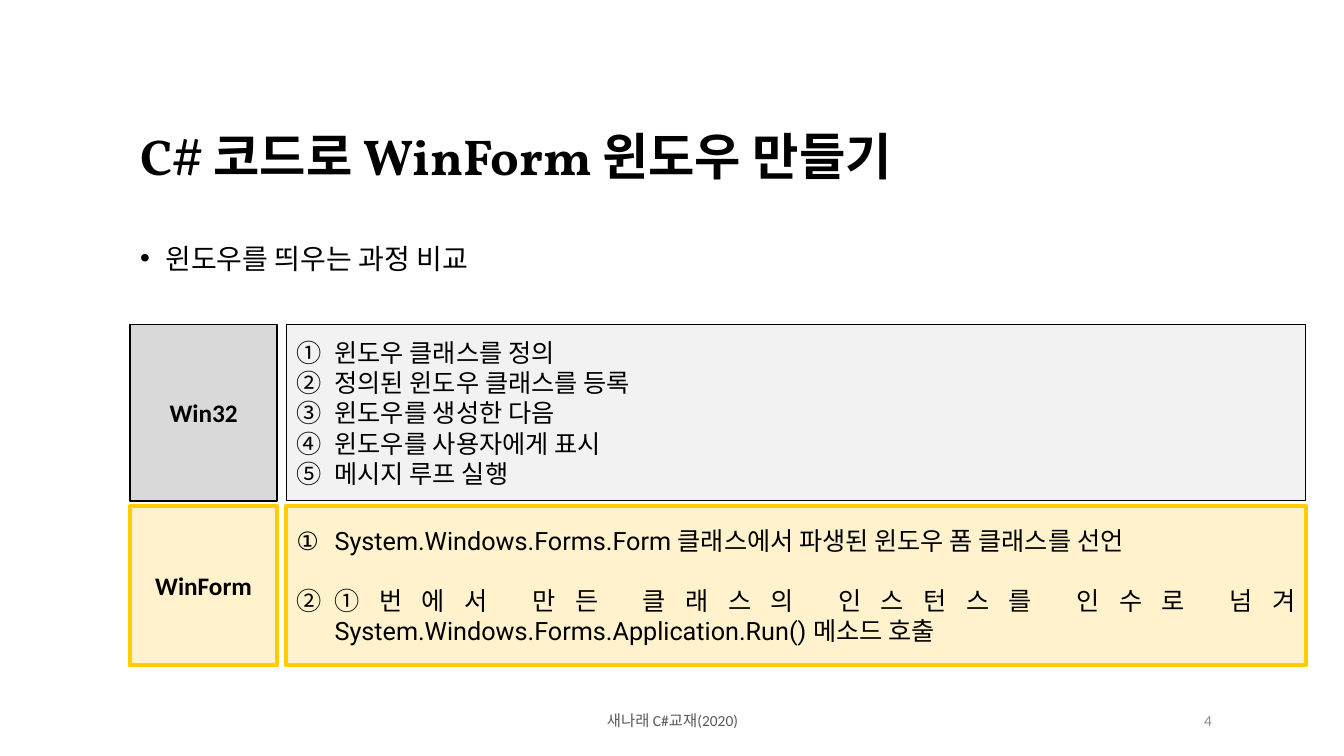
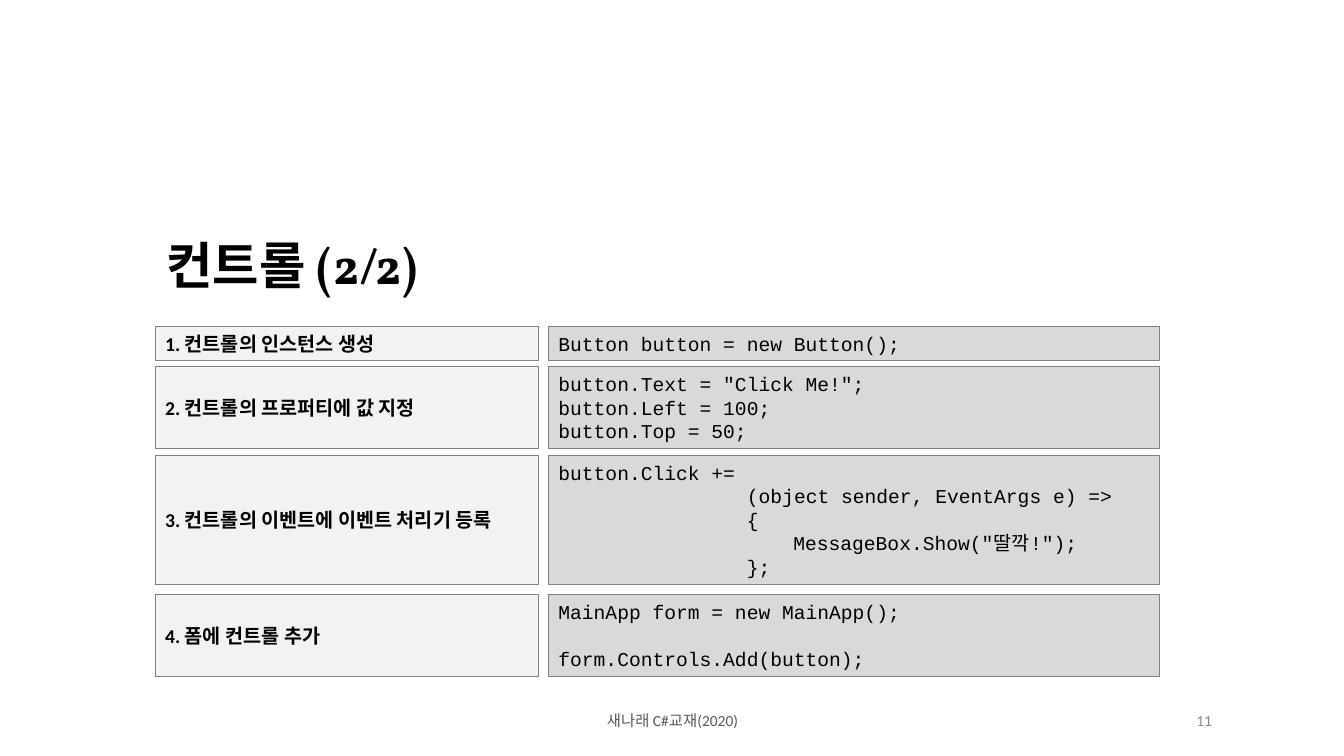
"""Build two slides on making windows and controls with C# WinForm."""
from lxml.etree import SubElement
from pptx import Presentation
from pptx.dml.color import RGBColor
from pptx.enum.shapes import MSO_SHAPE as Shape
from pptx.enum.text import MSO_ANCHOR as Anchor, MSO_AUTO_SIZE as Fit, PP_ALIGN as Align
from pptx.oxml.ns import qn
from pptx.util import Inches, Pt

BLACK = RGBColor(0x00, 0x00, 0x00)
SMOKE = RGBColor(0x59, 0x59, 0x59)
GRAY = RGBColor(0x80, 0x80, 0x80)
ASH = RGBColor(0x8C, 0x8C, 0x8C)
SILVER = RGBColor(0xD9, 0xD9, 0xD9)
PALE = RGBColor(0xF2, 0xF2, 0xF2)
GOLD = RGBColor(0xFF, 0xCD, 0x00)
CREAM = RGBColor(0xFF, 0xF2, 0xCC)


def write(frame, lines, face, size, color=BLACK, bold=False, align=Align.LEFT,
          anchor=Anchor.MIDDLE, hang=0, mark=None):
    """Fill a frame with lines given as (text, left indent, space before)."""
    frame.word_wrap = True
    frame.auto_size = Fit.NONE
    frame.vertical_anchor = anchor
    for i, (text, left, gap) in enumerate(lines):
        par = frame.paragraphs[0] if i == 0 else frame.add_paragraph()
        par.text = text
        par.alignment = align
        props = par._p.get_or_add_pPr()
        props.set("marL", str(Inches(left)))
        props.set("indent", str(Inches(-hang)))
        if mark:
            SubElement(props, qn("a:buAutoNum"), type=mark)
        par.space_before = Pt(gap)
        par.font.name = face
        par.font.size = Pt(size)
        par.font.bold = bold
        par.font.color.rgb = color


def box(slide, left, top, width, height, fill, edge, weight):
    """Add a bordered rectangle and return its text frame."""
    rect = slide.shapes.add_shape(
        Shape.RECTANGLE, Inches(left), Inches(top), Inches(width), Inches(height))
    rect.shadow.inherit = False
    rect.fill.solid()
    rect.fill.fore_color.rgb = fill
    rect.line.color.rgb = edge
    rect.line.width = Pt(weight)
    return rect.text_frame


deck = Presentation()
deck.slide_width = Inches(13.33)
deck.slide_height = Inches(7.5)

pages = [
    (1, "C# 코드로 WinForm 윈도우 만들기", 1.29, 1.21, "4"),
    (5, "컨트롤 (2/2)", 1.55, 2.29, "11"),
]
slides = []
for layout, head, left, top, number in pages:
    slide = deck.slides.add_slide(deck.slide_layouts[layout])
    title = slide.shapes.title
    title.left, title.top = Inches(left), Inches(top)
    title.width, title.height = Inches(10.48), Inches(0.9)
    frame = title.text_frame
    frame.margin_left = frame.margin_right = Inches(0.1)
    frame.margin_top = frame.margin_bottom = Inches(0.1)
    write(frame, [(head, 0, 6)], "Vollkorn", 36, bold=True, anchor=Anchor.TOP)
    frame.paragraphs[0].line_spacing = 0.9

    for text, x, width, color, align in [
        ("새나래 C#교재(2020)", 4.42, 4.5, SMOKE, Align.CENTER),
        (number, 9.42, 2.7, ASH, Align.RIGHT),
    ]:
        foot = slide.shapes.add_textbox(Inches(x), Inches(6.95), Inches(width), Inches(0.4))
        write(foot.text_frame, [(text, 0, 0)], "Calibri", 11, color, align=align)
    slides.append(slide)

first, second = slides

body = first.placeholders[1]
body.left, body.top = Inches(1.29), Inches(2.26)
body.width, body.height = Inches(10.48), Inches(0.6)
write(body.text_frame, [("윈도우를 띄우는 과정 비교", 0.25, 0)], "Vollkorn", 20, hang=0.25)

steps = [
    ("Win32", 3.22, 1.75, SILVER, PALE, BLACK, 1, 0.75, 0,
     ["윈도우 클래스를 정의", "정의된 윈도우 클래스를 등록", "윈도우를 생성한 다음",
      "윈도우를 사용자에게 표시", "메시지 루프 실행"]),
    ("WinForm", 5.02, 1.58, CREAM, CREAM, GOLD, 3, 3, 21,
     ["System.Windows.Forms.Form 클래스에서 파생된 윈도우 폼 클래스를 선언",
      "①번에서 만든 클래스의 인스턴스를 인수로 넘겨 "
      "System.Windows.Forms.Application.Run() 메소드 호출"]),
]
for name, top, height, tint, fill, edge, thick, thin, gap, items in steps:
    frame = box(first, 2.84, top, 10.11, height, fill, edge, thin)
    lines = [(item, 0.38, gap if i else 0) for i, item in enumerate(items)]
    write(frame, lines, "Roboto", 18, align=Align.JUSTIFY, hang=0.38, mark="circleNumDbPlain")
    frame = box(first, 1.29, top, 1.46, height, tint, edge, thick)
    frame.margin_left = frame.margin_right = 0
    write(frame, [(name, 0, 0)], "Calibri", 18, bold=True, align=Align.CENTER)

tasks = [
    ("컨트롤의 인스턴스 생성", 3.24, 0.34, [("Button button = new Button();", 0, 0)]),
    ("컨트롤의 프로퍼티에 값 지정", 3.64, 0.81,
     [('button.Text = "Click Me!";', 0, 0), ("button.Left = 100;", 0, 0),
      ("button.Top = 50;", 0, 0)]),
    ("컨트롤의 이벤트에 이벤트 처리기 등록", 4.52, 1.28,
     [("button.Click +=", 0, 0), ("(object sender, EventArgs e) =>", 1.87, 0),
      ("{", 1.87, 0), ('MessageBox.Show("딸깍!");', 2.33, 0), ("};", 1.87, 0)]),
    ("폼에 컨트롤 추가", 5.9, 0.81,
     [("MainApp form = new MainApp();", 0, 0), ("form.Controls.Add(button);", 0, 17)]),
]
for i, (name, top, height, code) in enumerate(tasks, 1):
    frame = box(second, 5.44, top, 6.06, height, SILVER, GRAY, 0.75)
    write(frame, code, "Courier New", 14, anchor=Anchor.TOP)
    frame = box(second, 1.54, top, 3.8, height, PALE, GRAY, 0.75)
    write(frame, [(f"{i}. {name}", 0, 0)], "Calibri", 14, bold=True)

deck.save("out.pptx")
